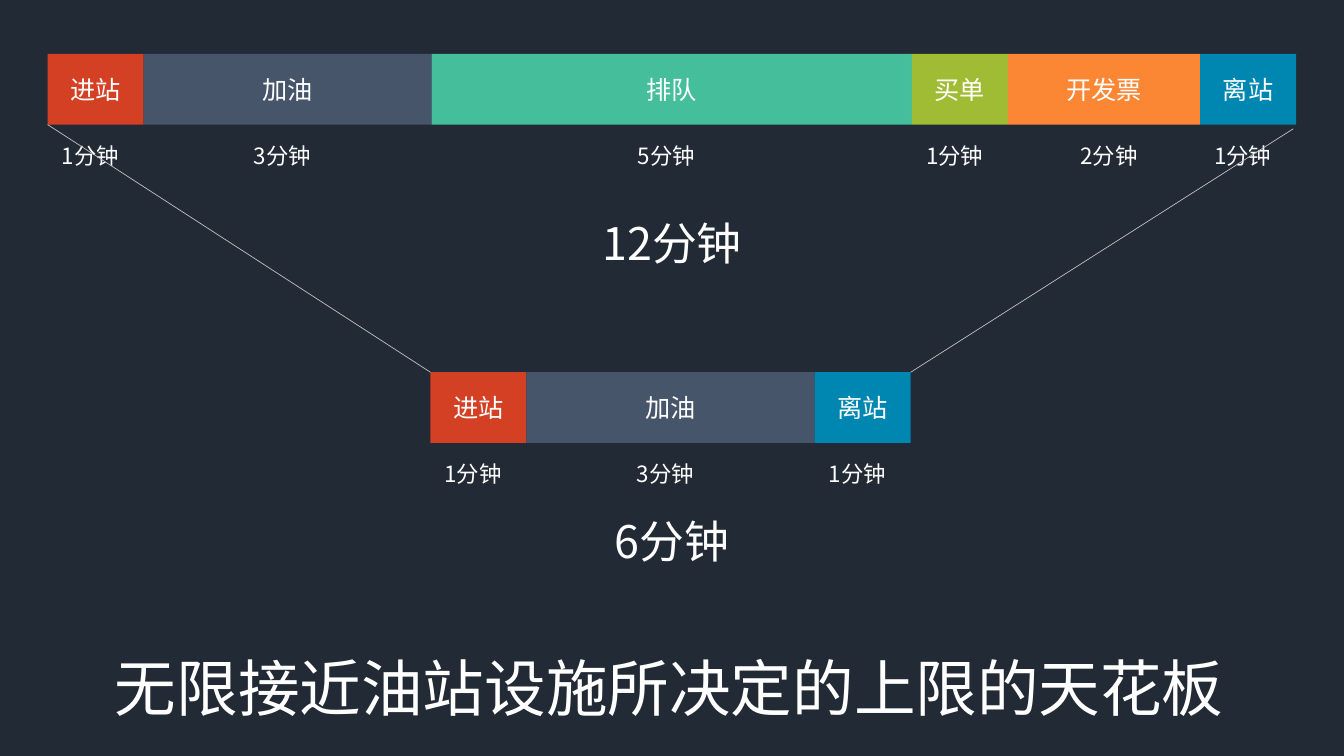
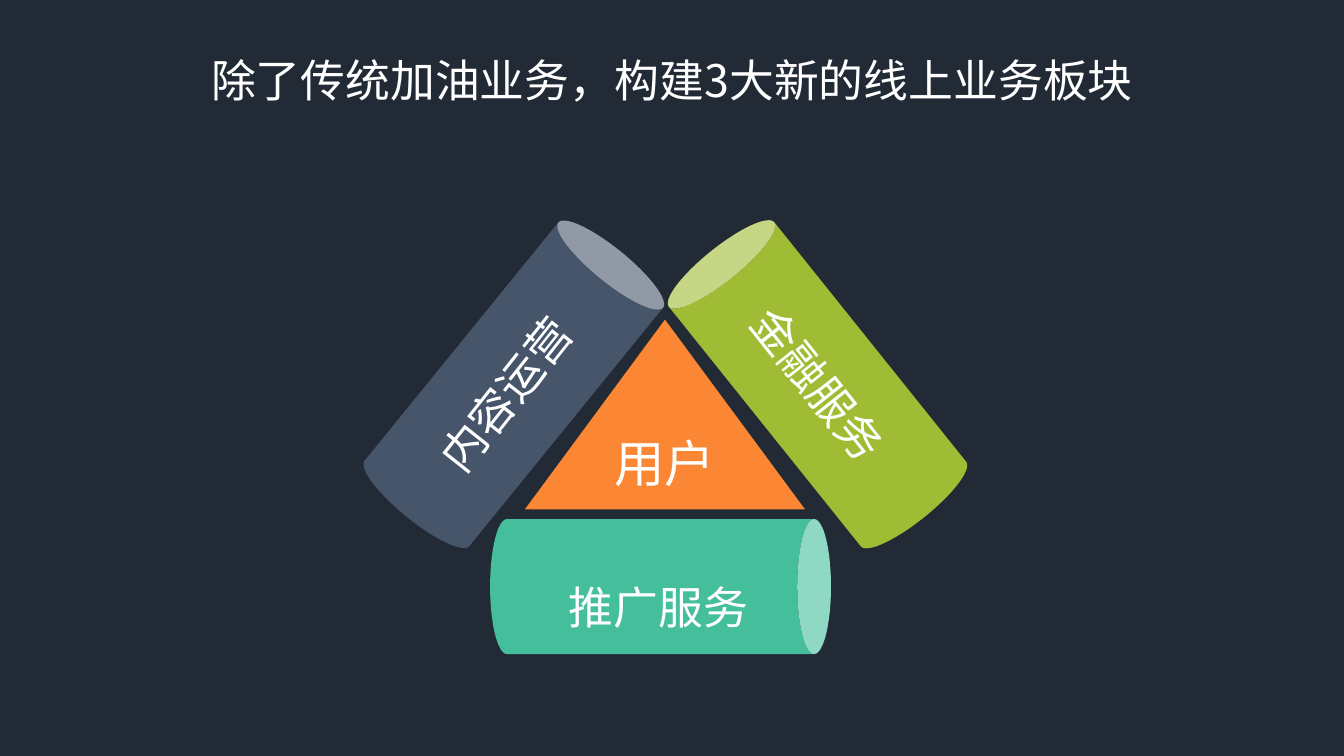
from lxml.etree import SubElement
from pptx import Presentation
from pptx.dml.color import RGBColor
from pptx.enum.shapes import MSO_CONNECTOR, MSO_SHAPE
from pptx.enum.text import MSO_ANCHOR, PP_ALIGN
from pptx.oxml.ns import qn
from pptx.util import Pt

FONT = "Noto Sans CJK SC"
NAVY, WHITE, GRAY = "222A35", "FFFFFF", "BFBFBF"
RED, SLATE, TEAL = "D44024", "46556A", "45BE9B"
LIME, ORANGE, BLUE = "A0BC34", "FB8734", "0087B1"

MINUTE = 68.6  # width of one minute in a time bar
BAR_H = 50.5
LABEL_W, LABEL_H = 62.6, 26.6
CENTRED = 90.7, 778.6  # left and width of the centred lines

BEFORE = [("进站", 1, RED), ("加油", 3, SLATE), ("排队", 5, TEAL),
          ("买单", 1, LIME), ("开发票", 2, ORANGE), ("离站", 1, BLUE)]
AFTER = [step for step in BEFORE if step[0] in ("进站", "加油", "离站")]


def rgb(value):
    return RGBColor.from_string(value)


def write(tf, text, size=18, color=WHITE, align=PP_ALIGN.CENTER, anchor=MSO_ANCHOR.MIDDLE):
    tf.word_wrap = True
    tf.vertical_anchor = anchor
    p = tf.paragraphs[0]
    p.alignment = align
    r = p.add_run()
    r.text = text
    r.font.size = Pt(size)
    r.font.color.rgb = rgb(color)
    r.font.name = FONT
    SubElement(r._r.get_or_add_rPr(), qn("a:ea")).set("typeface", FONT)


def add_text(shapes, box, text, rotation=0, **fmt):
    tb = shapes.add_textbox(*map(Pt, box))
    tb.rotation = rotation
    write(tb.text_frame, text, anchor=MSO_ANCHOR.TOP, **fmt)


def add_solid(shapes, kind, box, color, rotation=0):
    sp = shapes.add_shape(kind, *map(Pt, box))
    sp.shadow.inherit = False
    sp.fill.solid()
    sp.fill.fore_color.rgb = rgb(color)
    sp.line.fill.background()
    sp.rotation = rotation
    return sp


def add_line(shapes, start, end):
    line = shapes.add_connector(MSO_CONNECTOR.STRAIGHT, *map(Pt, (*start, *end)))
    line.line.color.rgb = rgb(GRAY)
    line.line.width = Pt(0.5)
    SubElement(line._element.spPr, qn("a:effectLst"))


def centred_box(cx, cy, w, h):
    return cx - w / 2, cy - h / 2, w, h


def add_centred_line(s, top, text):
    left, width = CENTRED
    add_text(s.shapes, (left, top, width, 46), text, size=32)


def add_time_bar(s, left, top, steps, label_shift=None):
    """Draw steps as wide as their minutes; return the right edge."""
    shapes = s.shapes.add_group_shape().shapes
    shifts = label_shift or {}
    for name, minutes, color in steps:
        width = minutes * MINUTE
        sp = add_solid(shapes, MSO_SHAPE.RECTANGLE, (left, top, width, BAR_H), color)
        write(sp.text_frame, name)
        label_x = left + (width - LABEL_W) / 2 + shifts.get(name, 0)
        add_text(shapes, (label_x, top + 59.4, LABEL_W, LABEL_H), f"{minutes}分钟",
                 size=16, align=PP_ALIGN.LEFT)
        left += width
    return left


def add_service_triangle(s, left, top):
    """Draw three cans around a triangle, each can with its turned label."""
    shapes = s.shapes.add_group_shape().shapes
    # can colour, can centre, can turn, label, label centre, label turn
    cans = [(SLATE, (107, 118.5), 39.1, "内容运营", (101, 125.5), 308.4),
            (LIME, (324, 118.5), 321.3, "金融服务", (324.5, 118), 51.6),
            (TEAL, (211.8, 263), 90, "推广服务", (210.5, 277.5), 0)]
    for color, (x, y), turn, *_ in cans:
        add_solid(shapes, MSO_SHAPE.CAN, centred_box(left + x, top + y, 96.5, 243.5),
                  color, turn)
    user = add_solid(shapes, MSO_SHAPE.ISOSCELES_TRIANGLE,
                     (left + 115, top + 72.3, 200, 135.5), ORANGE)
    write(user.text_frame, "用户", size=36)
    for *_, label, (x, y), turn in cans:
        add_text(shapes, centred_box(left + x, top + y, 146, 46), label, turn, size=32)


def add_time_slide(prs):
    s = prs.slides.add_slide(prs.slide_layouts[6])
    left, top, short_left, short_top = 34, 38.5, 307.5, 265.9
    right = add_time_bar(s, left, top, BEFORE, label_shift={"开发票": 7.5})
    add_centred_line(s, 150.5, "12分钟")
    short_right = add_time_bar(s, short_left, short_top, AFTER)
    add_centred_line(s, 363.6, "6分钟")
    bottom = top + BAR_H
    add_line(s.shapes, (left, bottom), (short_left, short_top))
    add_line(s.shapes, (right - 2, bottom + 3), (short_right, short_top))
    add_text(s.shapes, (75, 460.8, 834.5, 60.5), "无限接近油站设施所决定的上限的天花板",
             size=44, align=PP_ALIGN.LEFT)


def add_business_slide(prs):
    s = prs.slides.add_slide(prs.slide_layouts[6])
    add_centred_line(s, 33.8, "除了传统加油业务，构建3大新的线上业务板块")
    add_service_triangle(s, 260, 156)


def main():
    prs = Presentation()
    prs.slide_width, prs.slide_height = Pt(960), Pt(540)
    fill = prs.slide_master.background.fill
    fill.solid()
    fill.fore_color.rgb = rgb(NAVY)
    add_time_slide(prs)
    add_business_slide(prs)
    prs.save("out.pptx")


if __name__ == "__main__":
    main()
